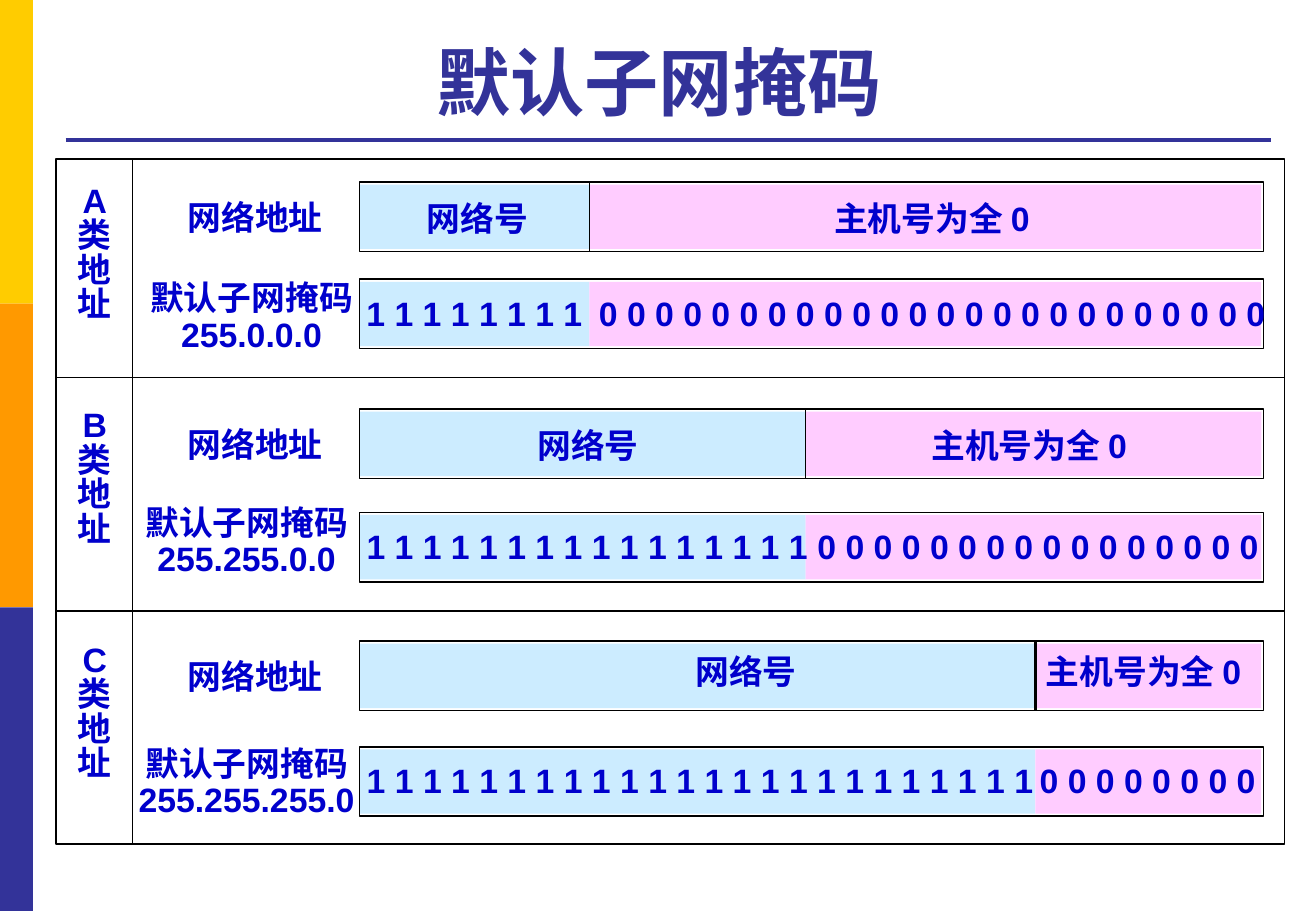
from dataclasses import dataclass

from lxml.etree import SubElement
from pptx import Presentation
from pptx.dml.color import RGBColor
from pptx.enum.shapes import MSO_CONNECTOR as CONN, MSO_SHAPE as SHAPE
from pptx.enum.text import MSO_ANCHOR as ANCHOR, MSO_AUTO_SIZE as AUTO, PP_ALIGN as ALIGN
from pptx.oxml.ns import qn
from pptx.util import Inches, Pt

YELLOW = RGBColor(0xFF, 0xCC, 0x00)
ORANGE = RGBColor(0xFF, 0x99, 0x00)
INDIGO = RGBColor(0x33, 0x33, 0x99)
NET_BLUE = RGBColor(0xCC, 0xEC, 0xFF)
HOST_PINK = RGBColor(0xFF, 0xCC, 0xFF)
TEXT_BLUE = RGBColor(0x00, 0x00, 0xCC)
BLACK = RGBColor(0x00, 0x00, 0x00)

FONT = "Arial"
WIDTH, HEIGHT = 10.83, 7.5
GRID_LEFT, GRID_RIGHT, CLASS_RIGHT = 0.46, 10.57, 1.09
GRID_ROWS = (1.31, 3.11, 5.03, 6.95)
BAR_LEFT, BAR_WIDTH, BAR_HEIGHT = 2.96, 7.44, 0.57
INSET = 0.02
LINE_HEIGHT = 0.43
BYTE_WIDTH, BYTE_MARGIN, SPARE = 1.86, 0.13, 0.3


@dataclass
class AddressClass:
    """One row of the grid, with its split between network and host bits."""
    letter: str
    mask: str
    net_bits: int
    split: float
    zeros_left: float
    class_top: float
    net_top: float
    net_text_top: float
    mask_top: float
    label_top: float
    label_center: float
    net_center: float
    host_center: float
    divider: float


CLASSES = (
    AddressClass("A", "255.0.0.0", 8, 4.85, 4.82,
                 1.48, 1.5, 1.58, 2.3, 2.27, 2.07, 3.93, 7.67, 1),
    AddressClass("B", "255.255.0.0", 16, 6.63, 6.62,
                 3.33, 3.37, 3.45, 4.22, 4.12, 2.03, 4.84, 8.47, 1),
    AddressClass("C", "255.255.255.0", 24, 8.52, 8.45,
                 5.26, 5.28, 5.31, 6.15, 6.1, 2.03, 6.14, 9.41, 1.5),
)


def add_box(s, left, top, width, height, fill=None, line=None, weight=1):
    """Draw a plain rectangle, filled or outlined."""
    sp = s.shapes.add_shape(SHAPE.RECTANGLE, Inches(left), Inches(top),
                            Inches(width), Inches(height))
    sp.shadow.inherit = False
    if fill is None:
        sp.fill.background()
    else:
        sp.fill.solid()
        sp.fill.fore_color.rgb = fill
    if line is None:
        sp.line.fill.background()
    else:
        sp.line.color.rgb = line
        sp.line.width = Pt(weight)


def add_line(s, x1, y1, x2, y2, color=BLACK, weight=0.75):
    """Draw a straight line without a shadow."""
    c = s.shapes.add_connector(CONN.STRAIGHT, Inches(x1), Inches(y1),
                               Inches(x2), Inches(y2))
    c.line.color.rgb = color
    c.line.width = Pt(weight)
    SubElement(c._element.spPr, qn("a:effectLst"))


def format_paragraph(p, size, color):
    """Centre a paragraph and set the font of its runs."""
    p.alignment = ALIGN.CENTER
    for r in p.runs:
        r.font.name = FONT
        r.font.size = Pt(size)
        r.font.bold = True
        r.font.color.rgb = color


def add_label(s, center, top, text, width, height=LINE_HEIGHT, spacing=None):
    """Add unwrapped text centred on a horizontal position."""
    sp = s.shapes.add_textbox(Inches(center - width / 2), Inches(top),
                              Inches(width), Inches(height))
    tf = sp.text_frame
    tf.word_wrap = False
    tf.auto_size = AUTO.SHAPE_TO_FIT_TEXT
    tf.text = text
    for p in tf.paragraphs:
        format_paragraph(p, 20, TEXT_BLUE)
        if spacing:
            p.line_spacing = spacing


def add_bits(s, left, top, digit, count):
    """Add a row of equal binary digits on one line."""
    width = count / 8 * BYTE_WIDTH + BYTE_MARGIN
    add_label(s, left + width / 2, top, " ".join(digit * count), width + SPARE)


def add_bar(s, top, split):
    """Draw a framed bar with its network and host parts."""
    right = BAR_LEFT + BAR_WIDTH
    for left, end, fill in ((BAR_LEFT, split, NET_BLUE),
                            (split, right - INSET, HOST_PINK)):
        add_box(s, left, top + INSET, end - left, BAR_HEIGHT - 2 * INSET, fill)
    add_box(s, BAR_LEFT, top, BAR_WIDTH, BAR_HEIGHT, line=BLACK)


def add_class(s, c):
    """Add the labels and both bars of one address class."""
    add_label(s, 0.78, c.class_top, "\n".join(c.letter + "类地址"), 0.48, 1.25, 0.85)
    add_bar(s, c.net_top, c.split)
    add_line(s, c.split, c.net_top, c.split, c.net_top + BAR_HEIGHT, weight=c.divider)
    add_label(s, 2.1, c.net_top + 0.07, "网络地址", 1.32)
    add_label(s, c.net_center, c.net_text_top, "网络号", 1.04)
    add_label(s, c.host_center, c.net_text_top, "主机号为全 0", 1.9)
    add_bar(s, c.mask_top, c.split)
    add_label(s, c.label_center, c.label_top, "默认子网掩码\n" + c.mask, 2.05, 0.7, 0.9)
    bits_top = c.mask_top + 0.06
    add_bits(s, BAR_LEFT - 0.05, bits_top, "1", c.net_bits)
    add_bits(s, c.zeros_left, bits_top, "0", 32 - c.net_bits)


def add_title(s, text):
    """Place and format the title with the rule below it."""
    sp = s.shapes.title
    sp.left, sp.top = Inches(0.47), Inches(0.21)
    sp.width, sp.height = Inches(9.91), Inches(0.87)
    tf = sp.text_frame
    tf.text = text
    tf.vertical_anchor = ANCHOR.BOTTOM
    format_paragraph(tf.paragraphs[0], 44, INDIGO)
    add_line(s, 0.54, 1.15, 10.46, 1.15, INDIGO, 2.25)


def add_grid(s):
    """Draw the outer frame and the lines between classes."""
    top, *inner, bottom = GRID_ROWS
    add_box(s, GRID_LEFT, top, GRID_RIGHT - GRID_LEFT, bottom - top,
            line=BLACK, weight=0.75)
    for y in inner:
        add_line(s, GRID_LEFT, y, GRID_RIGHT, y)
    add_line(s, CLASS_RIGHT, top, CLASS_RIGHT, bottom)


def main():
    """Build the slide and save it."""
    prs = Presentation()
    prs.slide_width, prs.slide_height = Inches(WIDTH), Inches(HEIGHT)
    s = prs.slides.add_slide(prs.slide_layouts[5])
    for i, color in enumerate((YELLOW, ORANGE, INDIGO)):
        add_box(s, 0, i * HEIGHT / 3, WIDTH / 40, HEIGHT / 3, color)
    add_title(s, "默认子网掩码")
    add_grid(s)
    for c in CLASSES:
        add_class(s, c)
    prs.save("out.pptx")


if __name__ == "__main__":
    main()
